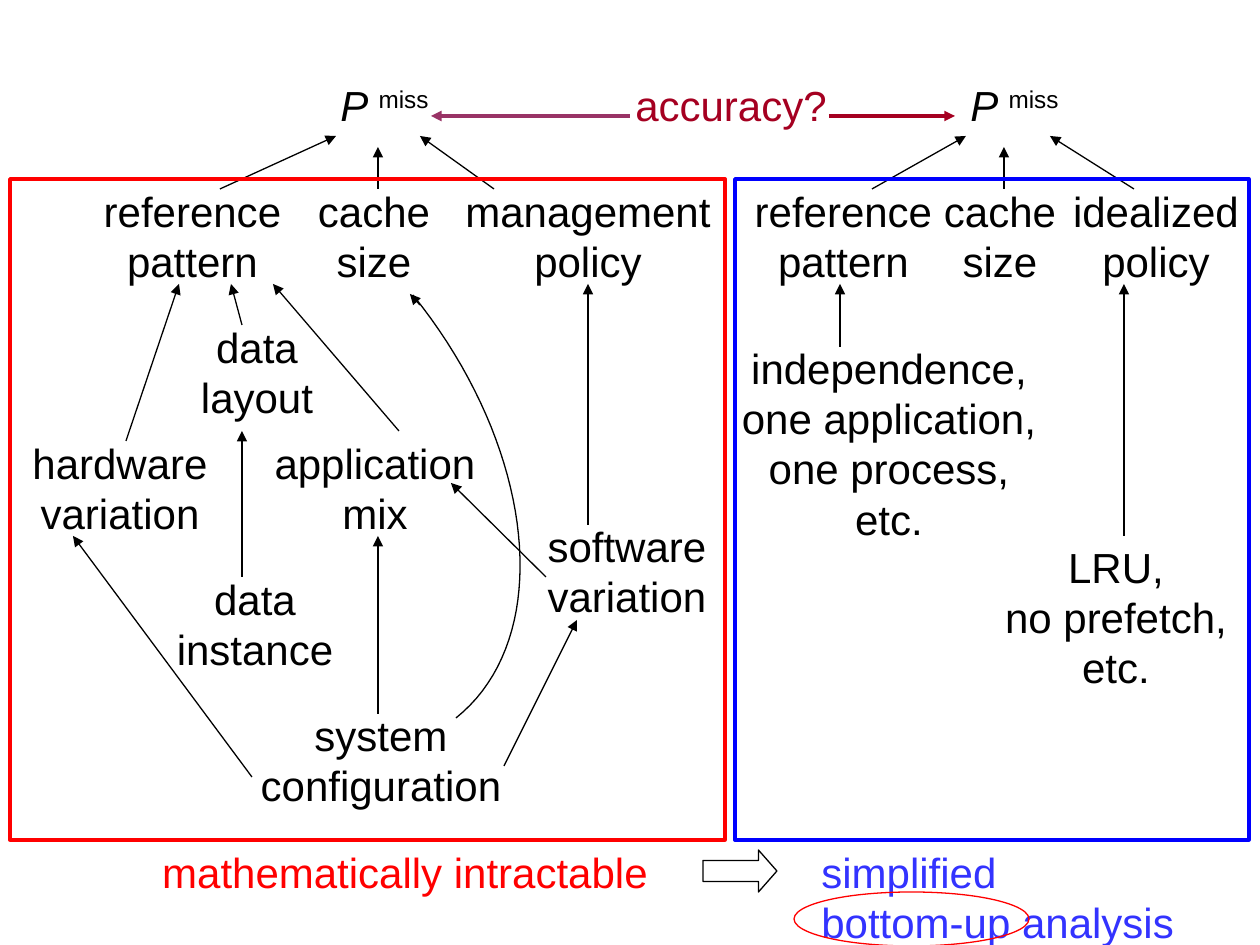
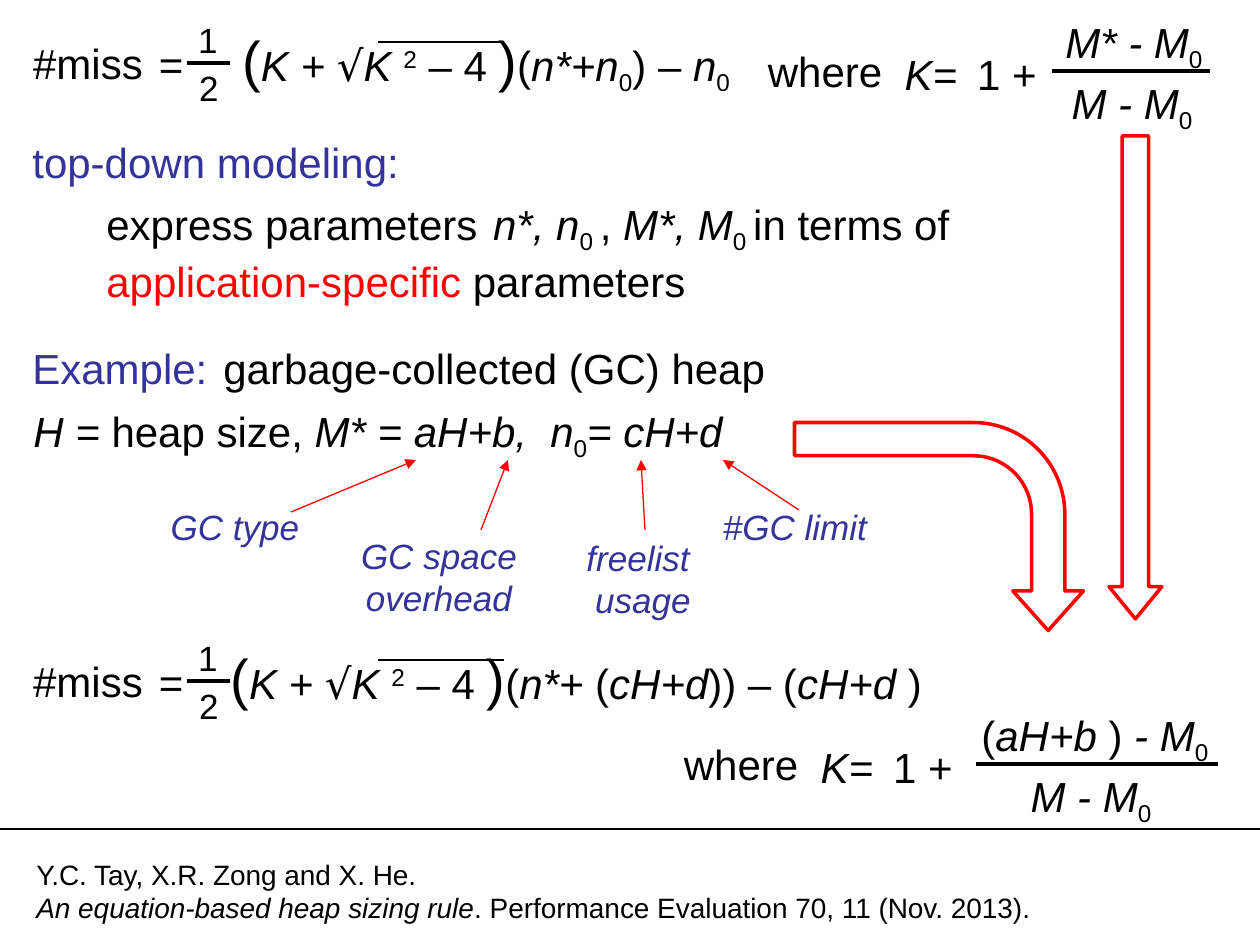
import pptx
import pptx.util
import pptx.dml.color
import pptx.enum.shapes
import pptx.enum.text
import pptx.oxml.ns
import lxml.etree

RGB = pptx.dml.color.RGBColor
SHAPE = pptx.enum.shapes.MSO_SHAPE
ALIGN = pptx.enum.text.PP_ALIGN
BLACK = RGB(0, 0, 0)
RED = RGB(0xFF, 0, 0)
BLUE = RGB(0, 0, 0xFF)
SKY = RGB(0x33, 0x33, 0xFF)
NAVY = RGB(0x33, 0x33, 0x99)
WINE = RGB(0xA5, 0, 0x21)
PLUM = RGB(0x99, 0x33, 0x66)
PX = 914400 // 126
THIN, THICK = 0.75, 2


def text(slide, x, y, w, rows, size=24, color=BLACK, left=False, wrap=False):
    """Add rows of (words, flags) runs; x is the middle, or the left edge if left.

    Flags: i italic, ^ raised, _ lowered, b big, s symbol font, r red.
    """
    high = 12 + len(rows) * size * 21 // 10
    edge = x if left else x - w // 2
    box = slide.shapes.add_textbox(edge * PX, y * PX, w * PX, high * PX)
    frame = box.text_frame
    frame.word_wrap = wrap
    for n, row in enumerate(rows):
        para = frame.add_paragraph() if n else frame.paragraphs[0]
        para.alignment = ALIGN.LEFT if left else ALIGN.CENTER
        for words, flags in ([(row, "")] if isinstance(row, str) else row):
            run = para.add_run()
            run.text = words
            font = run.font
            font.name = "DejaVu Sans" if "s" in flags else "Arial"
            font.size = pptx.util.Pt(32 if "b" in flags else size)
            font.italic = "i" in flags
            font.color.rgb = RED if "r" in flags else color
            if "^" in flags or "_" in flags:
                shift = "30000" if "^" in flags else "-25000"
                run._r.get_or_add_rPr().set("baseline", shift)


def line(slide, x1, y1, x2, y2, color=BLACK, width=THIN, head=True):
    """Draw a straight line, with an arrowhead at its end if head is set."""
    link = slide.shapes.add_connector(
        pptx.enum.shapes.MSO_CONNECTOR.STRAIGHT, x1 * PX, y1 * PX, x2 * PX, y2 * PX)
    link.line.color.rgb = color
    link.line.width = pptx.util.Pt(width)
    qn = pptx.oxml.ns.qn
    if head:
        tip = lxml.etree.SubElement(link.get_or_add_ln(), qn("a:tailEnd"))
        tip.set("type", "triangle")
    lxml.etree.SubElement(link._element.spPr, qn("a:effectLst"))


deck = pptx.Presentation()
deck.slide_width = 1260 * PX
deck.slide_height = 945 * PX
blank = deck.slide_layouts[6]

# Slide 1: bottom-up analysis
slide = deck.slides.add_slide(blank)
outlines = []

nodes = [
    (192, 179, 203, ["reference", "pattern"]),
    (374, 179, 150, ["cache", "size"]),
    (588, 179, 290, ["management", "policy"]),
    (257, 315, 150, ["data", "layout"]),
    (120, 431, 210, ["hardware", "variation"]),
    (375, 431, 240, ["application", "mix"]),
    (255, 567, 210, ["data", "instance"]),
    (627, 514, 200, ["software", "variation"]),
    (381, 703, 280, ["system", "configuration"]),
    (843, 179, 203, ["reference", "pattern"]),
    (1000, 179, 150, ["cache", "size"]),
    (1156, 179, 200, ["idealized", "policy"]),
    (889, 336, 330, ["independence,", "one application,", "one process,", "etc."]),
    (1116, 535, 260, ["LRU,", "no prefetch,", "etc."]),
]
for x, y, w, rows in nodes:
    text(slide, x, y, w, rows)

links = [
    (220, 189, 336, 136), (378, 189, 378, 147), (494, 189, 420, 136),
    (242, 325, 231, 284), (126, 441, 179, 284), (399, 431, 273, 284),
    (242, 577, 242, 431), (420, 305, 410, 294), (546, 577, 451, 483),
    (588, 525, 588, 284), (378, 714, 378, 536), (252, 777, 73, 536),
    (504, 766, 577, 620), (840, 347, 840, 284), (1124, 536, 1124, 284),
    (872, 189, 966, 136), (1004, 189, 1004, 147), (1134, 189, 1050, 136),
]
for ends in links:
    line(slide, *ends)

# Cubic curve from "system configuration" up to "cache size"
bend = [(456, 718), (556, 638), (537, 449), (413, 295)]
curve = []
for n in range(41):
    t = n / 40
    parts = [(1 - t) ** 3, 3 * t * (1 - t) ** 2, 3 * t * t * (1 - t), t ** 3]
    curve.append([round(PX * sum(p * c for p, c in zip(parts, axis)))
                  for axis in zip(*bend)])
form = slide.shapes.build_freeform(*curve[0])
form.add_line_segments(curve[1:], close=False)
outlines.append((form.convert_to_shape(), BLACK, THIN))

for x in (384, 1014):
    text(slide, x, 73, 135, [[("P ", "i"), ("miss", "^")]], wrap=True)
text(slide, 731, 73, 230, ["accuracy?"], color=WINE)
line(slide, 829, 116, 955, 116, WINE, THICK)
line(slide, 630, 116, 431, 116, PLUM, THICK)

text(slide, 405, 840, 530, ["mathematically intractable"], color=RED)
text(slide, 809, 840, 400, ["simplified", "bottom-up analysis"], color=SKY, left=True)

frames = [
    (SHAPE.RECTANGLE, 10, 179, 715, 661, RED, THICK),
    (SHAPE.RECTANGLE, 735, 179, 514, 661, BLUE, THICK),
    (SHAPE.RIGHT_ARROW, 703, 850, 74, 42, BLACK, THIN),
    (SHAPE.OVAL, 794, 892, 235, 54, RED, THIN),
]
for kind, x, y, w, h, color, width in frames:
    shape = slide.shapes.add_shape(kind, x * PX, y * PX, w * PX, h * PX)
    if kind == SHAPE.RIGHT_ARROW:
        shape.adjustments[1] = 0.44
    outlines.append((shape, color, width))

# Slide 2: top-down modeling
slide = deck.slides.add_slide(blank)

root = [("(", "b"), ("K + ", "i"), ("√", "is"), ("K ", "i"), ("2", "^"),
        (" – 4 ", ""), (")", "b"), ("(", "")]
tails = [
    (0, 230, [("n*+n", "i"), ("0", "_"), (") – ", ""), ("n", "i"), ("0", "_")]),
    (618, 218, [("n*+ ", "i"), ("(", ""), ("cH+d", "i"), (")) – (", ""),
                ("cH+d ", "i"), (")", "")]),
]
for dy, x, tail in tails:
    text(slide, 88, 31 + dy, 150, ["#miss"])
    text(slide, 171, 32 + dy, 70, ["="])
    text(slide, 208, 12 + dy, 60, ["1"], 20)
    text(slide, 209, 60 + dy, 60, ["2"], 20)
    line(slide, 187, 63 + dy, 230, 63 + dy, width=THICK, head=False)
    text(slide, x, 19 + dy, 760, [root + tail], left=True)
    line(slide, 378, 42 + dy, 504, 42 + dy, head=False)

ratios = [
    (0, 0, 1134, 1132, 1052, 1210, [("M* - M", "i"), ("0", "_")]),
    (-84, 693, 1095, 1091, 976, 1218,
     [("(", ""), ("aH+b ", "i"), (")", ""), (" - M", "i"), ("0", "_")]),
]
for dx, dy, over, under, start, end, top in ratios:
    text(slide, 825 + dx, 39 + dy, 170, ["where"])
    text(slide, 931 + dx, 42 + dy, 100, [[("K=", "i")]])
    text(slide, 1007 + dx, 42 + dy, 120, ["1 +"])
    text(slide, over, 10 + dy, 280, [top])
    text(slide, under, 71 + dy, 180, [[("M - M", "i"), ("0", "_")]])
    line(slide, start, 71 + dy, end, 71 + dy, width=THICK, head=False)

text(slide, 20, 130, 420, ["top-down modeling:"], color=NAVY, left=True)
text(slide, 94, 178, 938, [
    [("express parameters", ""), (" ", "b"), ("n*, n", "i"), ("0 ", "_"), (", ", ""),
     ("M*, M", "i"), ("0 ", "_"), ("in terms of", "")],
    [("application-specific", "r"), (" parameters", "")],
], left=True, wrap=True)
text(slide, 20, 336, 220, ["Example:"], color=NAVY, left=True)
text(slide, 211, 336, 600, ["garbage-collected (GC) heap"], left=True)
text(slide, 21, 399, 540, [[("H = ", "i"), ("heap size, ", ""), ("M* = aH+b,", "i")]],
     left=True)
text(slide, 538, 399, 230, [[("n", "i"), ("0", "_"), ("= cH+d", "i")]], left=True)

labels = [
    (235, 499, 180, ["GC type"], (291, 512, 416, 460)),
    (439, 528, 200, ["GC space", "overhead"], (481, 530, 508, 460)),
    (643, 530, 160, ["freelist ", "usage"], (645, 530, 641, 460)),
    (795, 499, 190, ["#GC limit"], (799, 510, 723, 460)),
]
for x, y, w, rows, ends in labels:
    text(slide, x, y, w, [[(row, "i")] for row in rows], 20, NAVY)
    line(slide, *ends, color=RED)

arrows = [
    (SHAPE.DOWN_ARROW, 1109, 136, 53, 483, 0, [0.5, 0.61]),
    (SHAPE.BENT_ARROW, 835, 382, 208, 289, 90, [0.16, 0.17, 0.19, 0.44]),
]
for kind, x, y, w, h, turn, bends in arrows:
    shape = slide.shapes.add_shape(kind, x * PX, y * PX, w * PX, h * PX)
    shape.rotation = turn
    for n, value in enumerate(bends):
        shape.adjustments[n] = value
    outlines.append((shape, RED, THICK))

line(slide, 0, 829, 1260, 829, head=False)
text(slide, 24, 851, 1060, [
    "Y.C. Tay, X.R. Zong and X. He.",
    [("An equation-based heap sizing rule", "i"),
     (". Performance Evaluation 70, 11 (Nov. 2013).", "")],
], 16, left=True)

for shape, color, width in outlines:
    shape.shadow.inherit = False
    shape.fill.background()
    shape.line.color.rgb = color
    shape.line.width = pptx.util.Pt(width)

deck.save("out.pptx")
